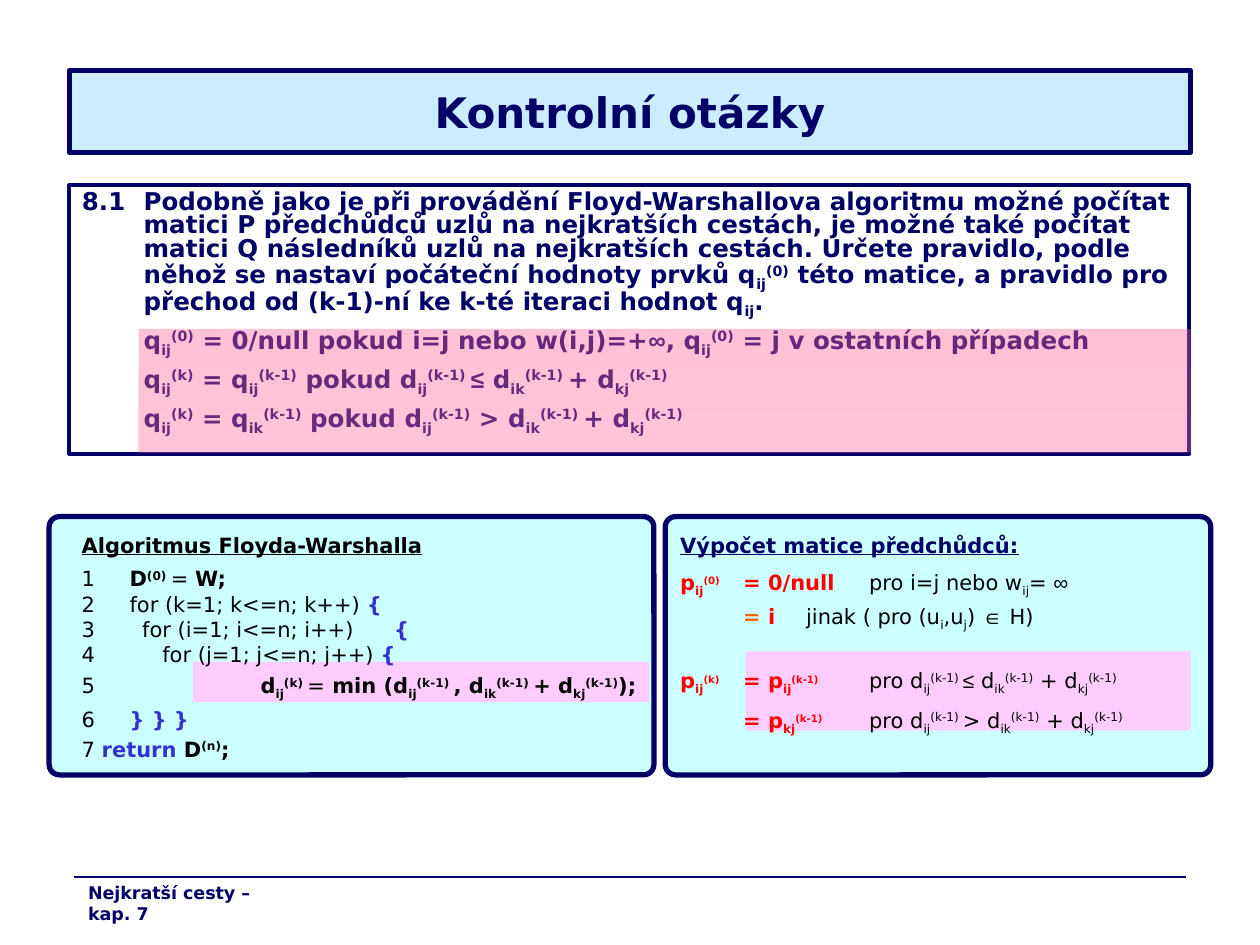
import dataclasses
import itertools
import typing

import pptx
import pptx.dml.color
import pptx.enum.dml
import pptx.enum.shapes
import pptx.enum.text
import pptx.oxml
import pptx.oxml.ns
import pptx.util

Inches = pptx.util.Inches
Pt = pptx.util.Pt
RGBColor = pptx.dml.color.RGBColor
Shape = pptx.enum.shapes.MSO_SHAPE

NAVY = RGBColor(0x00, 0x00, 0x66)
BLACK = RGBColor(0x00, 0x00, 0x00)
BLUE = RGBColor(0x33, 0x33, 0xCC)
RED = RGBColor(0xFF, 0x00, 0x00)
ORANGE = RGBColor(0xFF, 0x66, 0x00)
TITLE_FILL = RGBColor(0xCC, 0xEC, 0xFF)
PANEL_FILL = RGBColor(0xCC, 0xFF, 0xFF)
HIGHLIGHT = RGBColor(0xFF, 0xCC, 0xFF)
VEIL_COLORS = (RGBColor(0xFF, 0x66, 0x99), RGBColor(0xFF, 0x6D, 0x9E))

FONT = "DejaVu Sans"
SYMBOL_FONT = "Arial"
SYMBOLS = "∞≤∈"
TAB_STOPS = tuple(range(8))


@dataclasses.dataclass
class Span:
    """Text in which ~x~ is a subscript and ^x^ a superscript."""
    text: str
    color: RGBColor = BLACK
    bold: bool = False
    underline: bool = False
    super_size: typing.Optional[float] = None


@dataclasses.dataclass
class Line:
    spans: list[Span]
    margin: float = 0.38
    spacing: float = 1.0
    before: float = 0
    after: float = 0
    tabs: tuple[float, ...] = TAB_STOPS


@dataclasses.dataclass
class Panel:
    frame: tuple[float, float, float, float]
    highlight: tuple[float, float, float, float]
    text: tuple[float, float, float, float]
    lines: list[Line]


def dark(text: str) -> Span:
    return Span(text, NAVY, True)


def bold(text: str) -> Span:
    return Span(text, bold=True)


def keyword(text: str) -> Span:
    return Span(text, BLUE, True)


def red(text: str) -> Span:
    return Span(text, RED, True, super_size=10)


QUESTION = (
    "8.1\tPodobně jako je při provádění Floyd-Warshallova algoritmu možné počítat "
    "matici P předchůdců uzlů na nejkratších cestách, je možné také počítat "
    "matici Q následníků uzlů na nejkratších cestách. Určete pravidlo, podle "
    "něhož se nastaví počáteční hodnoty prvků q~ij~^(0)^ této matice, a pravidlo "
    "pro přechod od (k-1)-ní ke k-té iteraci hodnot q~ij~.")
ANSWERS = [
    "\tq~ij~^(0)^ = 0/null pokud i=j nebo w(i,j)=+∞, q~ij~^(0)^ = j v ostatních případech",
    "\tq~ij~^(k)^ = q~ij~^(k-1)^ pokud d~ij~^(k-1) ^≤ d~ik~^(k-1) ^+ d~kj~^(k-1)^",
    "\tq~ij~^(k)^ = q~ik~^(k-1)^ pokud d~ij~^(k-1)^ > d~ik~^(k-1) ^+ d~kj~^(k-1)^",
]

PREDECESSORS = Panel(
    (5.28, 4.1, 4.33, 2.05), (5.92, 5.17, 3.53, 0.63), (4.92, 4.18, 4.72, 1.69), [
        Line([dark("\t"), Span("Výpočet matice předchůdců:", NAVY, True, True)], before=7.5),
        Line([red("\tp~ij~^(0)\t^= 0/null\t"), Span("pro i=j nebo w~ij~= ∞")],
             spacing=1.2, before=3),
        Line([Span("\t\t= ", ORANGE, True), red("i\t"),
              Span("jinak ( pro (u~i~,u~j~) ∈ H)")], spacing=1.2),
        Line([red("\tp~ij~^(k)\t^= p~ij~^(k-1)^\t"),
              Span("pro d~ij~^(k-1) ^≤ d~ik~^(k-1)^ + d~kj~^(k-1)^")],
             spacing=1.2, before=17),
        Line([red("\t\t= p~kj~^(k-1)^\t"),
              Span("pro d~ij~^(k-1) ^> d~ik~^(k-1)^ + d~kj~^(k-1)^")],
             spacing=1.2, before=3),
    ])

ALGORITHM = Panel(
    (0.39, 4.1, 4.8, 2.05), (1.53, 5.25, 3.62, 0.32), (0.55, 4.18, 4.69, 1.89), [
        Line([Span("Algoritmus Floyda-Warshalla", bold=True, underline=True)], before=3),
        Line([Span("1\t"), bold("D^(0) ^"), Span("= "), bold("W;")], before=4.5),
        Line([Span("2\tfor (k=1; k<=n; k++) "), keyword("{")]),
        Line([Span("3\tfor (i=1; i<=n; i++)\t"), keyword("{")], margin=0.48, tabs=(0, 1.85)),
        Line([Span("4\tfor (j=1; j<=n; j++) "), keyword("{")], margin=0.64),
        Line([Span("5\t"), bold("d~ij~^(k) ^"), Span("="),
              bold(" min (d~ij~^(k-1) ^, d~ik~^(k-1) ^+ d~kj~^(k-1)^);")],
             margin=1.42, spacing=1.2),
        Line([Span("6\t"), keyword("} } }")], spacing=1.2),
        Line([Span("7 "), keyword("return "), bold("D^(n)^;")], spacing=1.2),
    ])


def split_baselines(text: str) -> typing.Iterator[tuple[str, int]]:
    for index, outer in enumerate(text.split("~")):
        if index % 2:
            yield outer, -25
        else:
            for position, inner in enumerate(outer.split("^")):
                yield inner, 30 * (position % 2)


def add_span(paragraph, span: Span, size: float) -> None:
    for chunk, baseline in split_baselines(span.text):
        for is_symbol, letters in itertools.groupby(chunk, lambda letter: letter in SYMBOLS):
            run = paragraph.add_run()
            run.text = "".join(letters)
            run.font.name = SYMBOL_FONT if is_symbol else FONT
            run.font.size = Pt(span.super_size if span.super_size and baseline > 0 else size)
            run.font.bold = span.bold
            run.font.underline = span.underline
            run.font.color.rgb = span.color
            if baseline:
                run.font._element.set("baseline", str(baseline * 1000))


def write_lines(frame, lines: list[Line], size: float) -> None:
    frame.word_wrap = True
    frame.auto_size = pptx.enum.text.MSO_AUTO_SIZE.NONE
    for index, line in enumerate(lines):
        paragraph = frame.add_paragraph() if index else frame.paragraphs[0]
        paragraph.line_spacing = line.spacing
        paragraph.space_before, paragraph.space_after = Pt(line.before), Pt(line.after)
        properties = paragraph._p.get_or_add_pPr()
        properties.set("marL", str(Inches(line.margin)))
        properties.set("indent", str(-Inches(line.margin)))
        stops = "".join(f'<a:tab pos="{Inches(stop)}" algn="l"/>' for stop in line.tabs)
        namespace = pptx.oxml.ns.nsdecls("a")
        for xml in (f"<a:buNone {namespace}/>", f"<a:tabLst {namespace}>{stops}</a:tabLst>"):
            properties.append(pptx.oxml.parse_xml(xml))
        for span in line.spans:
            add_span(paragraph, span, size)


def place(shape, bounds: tuple[float, ...]) -> None:
    shape.left, shape.top, shape.width, shape.height = map(Inches, bounds)


def outline(shape, width: float) -> None:
    shape.line.color.rgb = NAVY
    shape.line.width = Pt(width)


def add_block(shapes, kind, bounds: tuple[float, ...]):
    block = shapes.add_shape(kind, *map(Inches, bounds))
    block.shadow.inherit = False
    block.line.fill.background()
    return block


def add_panel(page, panel: Panel) -> None:
    shapes = page.shapes.add_group_shape().shapes
    frame = add_block(shapes, Shape.ROUNDED_RECTANGLE, panel.frame)
    frame.adjustments[0] = 0.04
    outline(frame, 3)
    highlight = add_block(shapes, Shape.RECTANGLE, panel.highlight)
    for block, color in ((frame, PANEL_FILL), (highlight, HIGHLIGHT)):
        block.fill.solid()
        block.fill.fore_color.rgb = color
    box = shapes.add_textbox(*map(Inches, panel.text))
    write_lines(box.text_frame, panel.lines, 12)


def add_veil(page) -> None:
    """Cover the answers with a translucent pink rectangle."""
    veil = add_block(page.shapes, Shape.RECTANGLE, (1.1, 2.61, 8.35, 0.98))
    veil.fill.gradient()
    veil.fill.gradient_angle = 270
    for stop, color in zip(veil.fill.gradient_stops, VEIL_COLORS):
        stop.color.rgb = color
    for color in veil._element.spPr.iter(pptx.oxml.ns.qn("a:srgbClr")):
        color.append(pptx.oxml.parse_xml(
            f'<a:alpha {pptx.oxml.ns.nsdecls("a")} val="40000"/>'))


def main() -> None:
    deck = pptx.Presentation()
    deck.slide_width, deck.slide_height = Inches(10), Inches(7.5)
    page = deck.slides.add_slide(deck.slide_layouts[1])

    title, body = page.placeholders
    place(title, (0.55, 0.56, 8.9, 0.65))
    title.fill.solid()
    title.fill.fore_color.rgb = TITLE_FILL
    outline(title, 3)
    write_lines(title.text_frame, [Line([dark("Kontrolní otázky")], margin=0)], 24)
    title.text_frame.vertical_anchor = pptx.enum.text.MSO_ANCHOR.MIDDLE
    title.text_frame.paragraphs[0].alignment = pptx.enum.text.PP_ALIGN.CENTER

    place(body, (0.55, 1.47, 8.89, 2.13))
    outline(body, 2.25)
    write_lines(body.text_frame, [Line([dark(text)], 0.49, 0.8, 3.5, 3.5)
                                  for text in (QUESTION, *ANSWERS)], 14)

    rule = page.shapes.add_connector(pptx.enum.shapes.MSO_CONNECTOR.STRAIGHT,
                                     *map(Inches, (0.59, 6.96, 9.41, 6.96)))
    outline(rule, 0.75)
    rule._element.spPr.append(pptx.oxml.parse_xml(
        f'<a:effectLst {pptx.oxml.ns.nsdecls("a")}/>'))
    footer = page.shapes.add_textbox(*map(Inches, (0.6, 6.95, 1.79, 0.4)))
    write_lines(footer.text_frame,
                [Line([dark("Nejkratší cesty – kap. 7")], margin=0, before=2.5)], 10)

    add_veil(page)
    for panel in (PREDECESSORS, ALGORITHM):
        add_panel(page, panel)
    deck.save("out.pptx")


if __name__ == "__main__":
    main()
